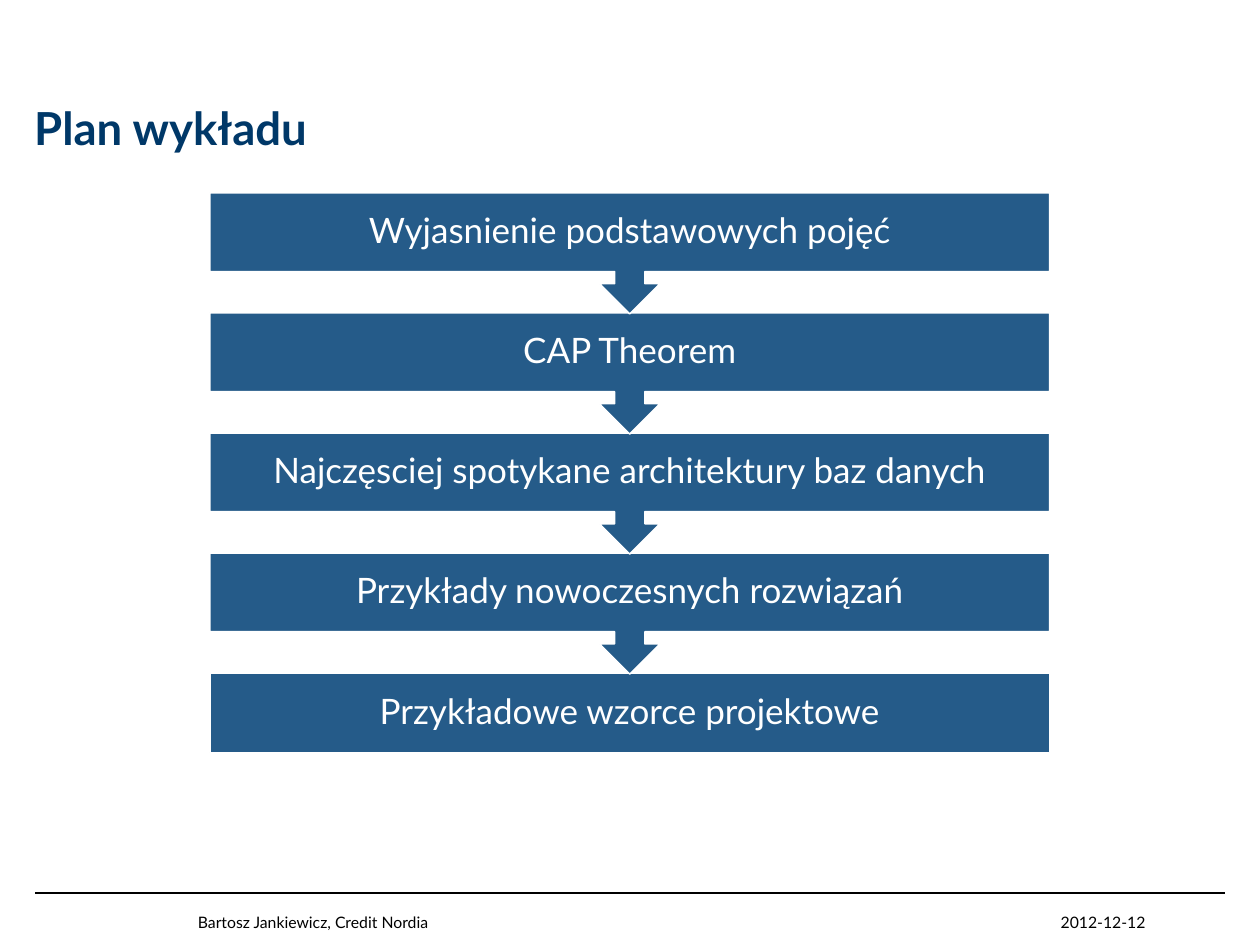
"""Build the lecture plan slide: five steps chained by arrow callouts."""
from dataclasses import dataclass

from lxml import etree
from pptx import Presentation
from pptx.dml.color import RGBColor
from pptx.enum.shapes import MSO_CONNECTOR, MSO_SHAPE
from pptx.enum.text import MSO_ANCHOR, PP_ALIGN
from pptx.oxml.ns import qn
from pptx.util import Cm, Pt

STRAIGHT = MSO_CONNECTOR.STRAIGHT
RECTANGLE = MSO_SHAPE.RECTANGLE
CALLOUT = MSO_SHAPE.DOWN_ARROW_CALLOUT
BOTTOM, MIDDLE = MSO_ANCHOR.BOTTOM, MSO_ANCHOR.MIDDLE
LEFT, CENTER, RIGHT = PP_ALIGN.LEFT, PP_ALIGN.CENTER, PP_ALIGN.RIGHT


@dataclass(frozen=True)
class Theme:
    font: str = "Lato"
    navy: RGBColor = RGBColor(0x00, 0x38, 0x68)
    blue: RGBColor = RGBColor(0x25, 0x5B, 0x89)
    white: RGBColor = RGBColor(0xFF, 0xFF, 0xFF)
    black: RGBColor = RGBColor(0x00, 0x00, 0x00)
    title_size: int = 26
    step_size: int = 20
    footer_size: int = 9


theme = Theme()


def write(shape, text, size, color, align, anchor, inset=0, bold=False):
    frame = shape.text_frame
    frame.text = text
    frame.word_wrap = True
    frame.vertical_anchor = anchor
    frame.margin_left = frame.margin_right = Cm(inset)
    frame.margin_top = frame.margin_bottom = Cm(inset)
    para = frame.paragraphs[0]
    para.alignment = align
    font = para.runs[0].font
    font.name = theme.font
    font.size = Pt(size)
    font.bold = bold
    font.color.rgb = color
    return para


deck = Presentation()
deck.slide_width, deck.slide_height = Cm(25.4), Cm(19.05)
page = deck.slides.add_slide(deck.slide_layouts[5])

rule = page.shapes.add_connector(STRAIGHT, Cm(0.71), Cm(18), Cm(24.69), Cm(18))
rule.line.color.rgb = theme.black
rule.line.width = Pt(1)
etree.SubElement(rule._element.spPr, qn("a:effectLst"))

title = page.shapes.title
title.left, title.top = Cm(0.69), Cm(1.12)
title.width, title.height = Cm(24), Cm(2)
write(title, "Plan wykładu", theme.title_size, theme.navy, LEFT, BOTTOM, bold=True)

footers = [
    ("2012-12-12", 17.09, 6, RIGHT),
    ("Bartosz Jankiewicz, Credit Nordia", 3.99, 13, LEFT),
]
for text, left, width, align in footers:
    box = page.shapes.add_textbox(Cm(left), Cm(18.29), Cm(width), Cm(0.5))
    write(box, text, theme.footer_size, theme.black, align, BOTTOM)

steps = [
    "Wyjasnienie podstawowych pojęć",
    "CAP Theorem",
    "Najczęsciej spotykane architektury baz danych",
    "Przykłady nowoczesnych rozwiązań",
    "Przykładowe wzorce projektowe",
]
first_top, pitch = 3.89, 2.42
last = len(steps) - 1
for index, text in reversed(list(enumerate(steps))):
    kind, height = (RECTANGLE, 1.6) if index == last else (CALLOUT, 2.44)
    top = first_top + index * pitch
    step = page.shapes.add_shape(kind, Cm(4.23), Cm(top), Cm(16.93), Cm(height))
    step.shadow.inherit = False
    step.fill.solid()
    step.fill.fore_color.rgb = theme.blue
    step.line.color.rgb = theme.white
    step.line.width = Pt(0.85)
    para = write(step, text, theme.step_size, theme.white, CENTER, MIDDLE, inset=0.4)
    para.line_spacing = 0.9

deck.save("out.pptx")
